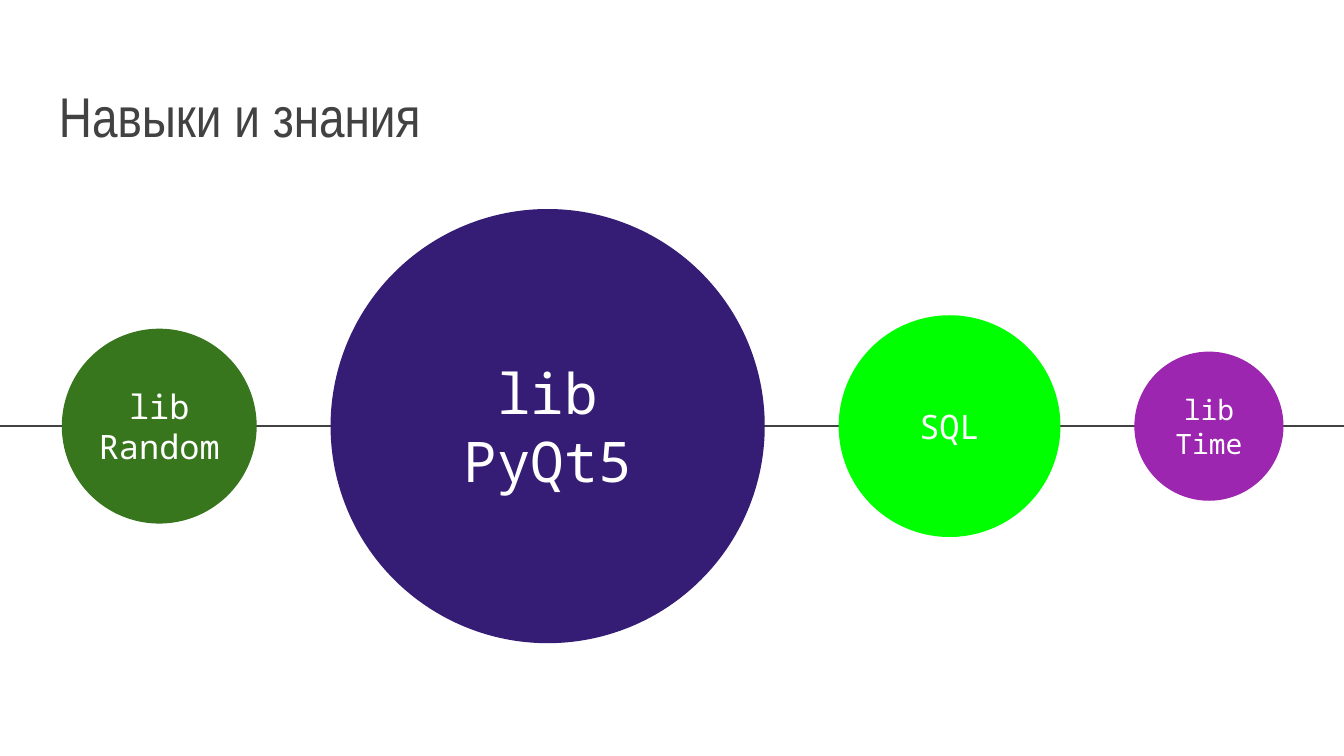
import pptx
import pptx.dml.color
import pptx.enum.shapes
import pptx.enum.text
import pptx.util
from lxml import etree

Pt = pptx.util.Pt
RGBColor = pptx.dml.color.RGBColor
ANCHOR = pptx.enum.text.MSO_ANCHOR
ALIGN = pptx.enum.text.PP_ALIGN

GRAY = RGBColor(0x42, 0x42, 0x42)
WHITE = RGBColor(0xFF, 0xFF, 0xFF)
GREEN = RGBColor(0x38, 0x76, 0x1D)
INDIGO = RGBColor(0x35, 0x1C, 0x75)
LIME = RGBColor(0x00, 0xFF, 0x00)
PURPLE = RGBColor(0x9C, 0x26, 0xB0)

PAGE_WIDTH, PAGE_HEIGHT = 720, 405
LABEL_HEIGHT = 47.5
SKILLS = [
    ("lib\nRandom", 104.4, 18, GREEN),
    ("lib\nPyQt5", 232.6, 30, INDIGO),
    ("SQL", 118.8, 18, LIME),
    ("lib Time", 79.9, 15, PURPLE),
]


def add_text(page, text, left, top, width, height, *, size, font, color,
             anchor=ANCHOR.MIDDLE, align=ALIGN.LEFT):
    """Add a text box with one paragraph for each line of text."""
    box = page.shapes.add_textbox(Pt(left), Pt(top), Pt(width), Pt(height))
    frame = box.text_frame
    frame.word_wrap = True
    frame.vertical_anchor = anchor
    frame.margin_left = frame.margin_right = Pt(7.2)
    frame.margin_top = frame.margin_bottom = Pt(7.2)
    frame.text = text
    for para in frame.paragraphs:
        para.alignment = align
        para.font.size = Pt(size)
        para.font.name = font
        para.font.color.rgb = color


def add_title(page, left, top, width, height):
    """Add the slide title at the bottom of its box."""
    add_text(page, "Навыки и знания", left, top, width, height, size=30,
             font="Arial Narrow", color=GRAY, anchor=ANCHOR.BOTTOM)


def add_axis(page, left, middle, width):
    """Add the horizontal line that joins the circles."""
    axis = page.shapes.add_connector(
        pptx.enum.shapes.MSO_CONNECTOR.STRAIGHT,
        Pt(left), Pt(middle), Pt(left + width), Pt(middle))
    axis.line.color.rgb = GRAY
    axis.line.width = Pt(1.5)
    properties = axis.element.spPr
    etree.SubElement(properties, pptx.oxml.ns.qn("a:effectLst"))


def add_skill(page, left, middle, diameter, text, size, color):
    """Add a circle centred on the axis, with its label."""
    circle = page.shapes.add_shape(
        pptx.enum.shapes.MSO_SHAPE.OVAL,
        Pt(left), Pt(middle - diameter / 2), Pt(diameter), Pt(diameter))
    circle.shadow.inherit = False
    circle.fill.solid()
    circle.fill.fore_color.rgb = color
    circle.line.fill.background()
    add_text(page, text, left, middle - LABEL_HEIGHT / 2, diameter,
             LABEL_HEIGHT, size=size, font="Noto Sans Mono", color=WHITE,
             align=ALIGN.CENTER)


def add_skills(page, left, middle, width):
    """Spread the skill circles over the width with equal gaps."""
    total = sum(diameter for _, diameter, _, _ in SKILLS)
    gap = (width - total) / (len(SKILLS) - 1)
    for text, diameter, size, color in SKILLS:
        add_skill(page, left, middle, diameter, text, size, color)
        left += diameter + gap


def main():
    """Build the deck and save it."""
    deck = pptx.Presentation()
    deck.slide_width, deck.slide_height = Pt(PAGE_WIDTH), Pt(PAGE_HEIGHT)
    page = deck.slides.add_slide(deck.slide_layouts[6])
    middle = 228.3
    add_axis(page, 0, middle, PAGE_WIDTH)
    add_title(page, 24.5, 29.5, 671, 57.6)
    add_skills(page, 33.1, middle, 654.5)
    deck.save("out.pptx")


if __name__ == "__main__":
    main()
